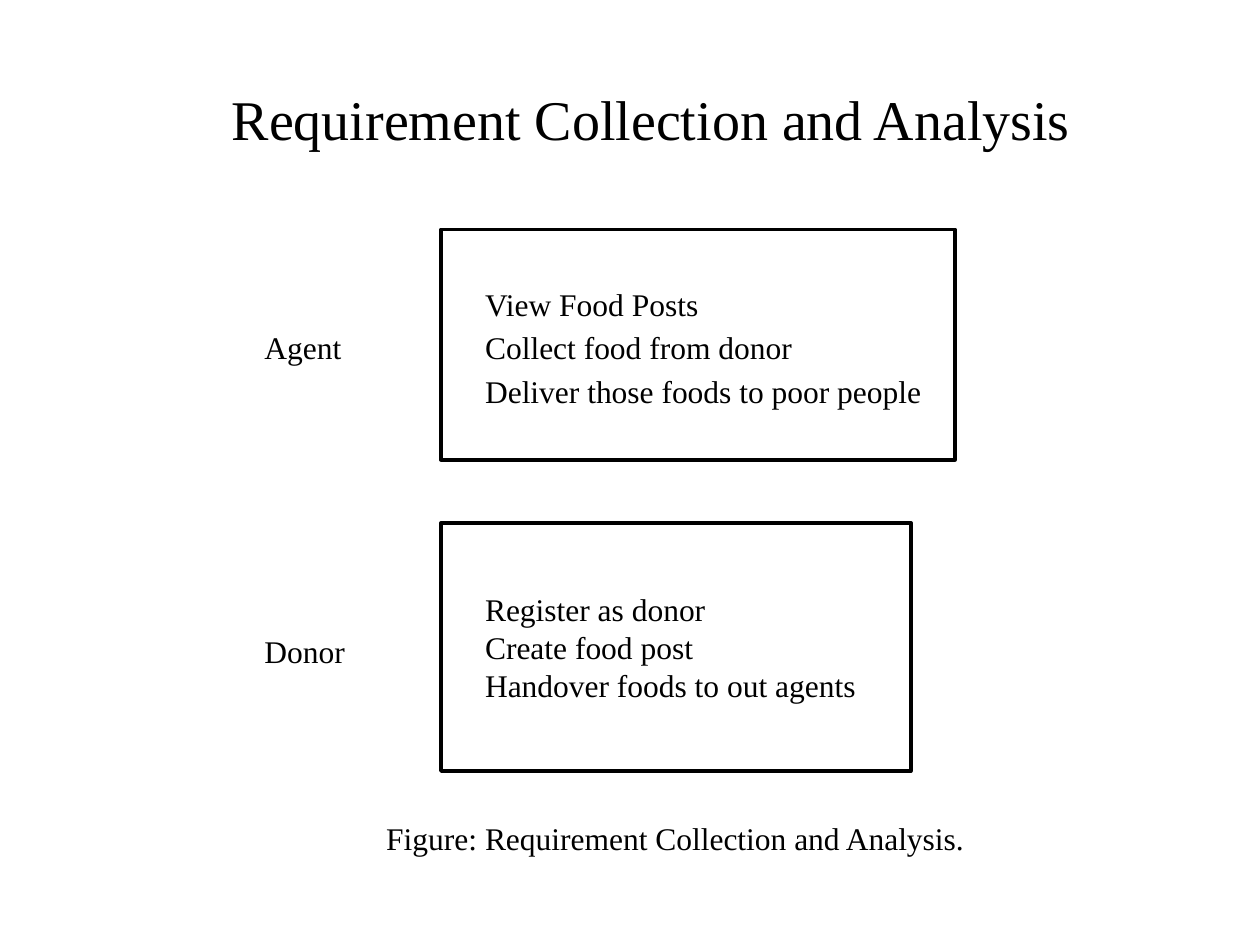
from pptx import Presentation
from pptx.dml.color import RGBColor
from pptx.enum.shapes import MSO_SHAPE as Shape
from pptx.enum.text import MSO_ANCHOR as Anchor, PP_ALIGN as Align
from pptx.util import Inches, Pt

BLACK = RGBColor(0x00, 0x00, 0x00)
WHITE = RGBColor(0xFF, 0xFF, 0xFF)
FONT = "Times New Roman"

ROLES = [
    ("Agent", 2.33, 1.82, 4.08, 1.83, 1.15,
     ["View Food Posts", "Collect food from donor",
      "Deliver those foods to poor people"]),
    ("Donor", 4.74, 4.15, 3.73, 1.97, 1.0,
     ["Register as donor", "Create food post", "Handover foods to out agents"]),
]


def write_lines(frame, lines, size=18, align=Align.LEFT, spacing=1.0, after=0):
    frame.word_wrap = True
    for index, line in enumerate(lines):
        para = frame.add_paragraph() if index else frame.paragraphs[0]
        para.text = line
        para.alignment = align
        para.line_spacing = spacing
        para.space_after = Pt(after)
        para.font.name = FONT
        para.font.size = Pt(size)
        para.font.color.rgb = BLACK


def add_title(page, text):
    title = page.shapes.title
    title.left, title.top = Inches(0.67), Inches(0.5)
    title.width, title.height = Inches(9), Inches(0.87)
    title.text_frame.vertical_anchor = Anchor.MIDDLE
    write_lines(title.text_frame, [text], size=32, align=Align.CENTER)


def add_box(page, left, top, width, height, line_color, lines,
            inset=0.1, spacing=1.15, after=0):
    box = page.shapes.add_shape(Shape.RECTANGLE, Inches(left), Inches(top),
                                Inches(width), Inches(height))
    box.shadow.inherit = False
    box.fill.solid()
    box.fill.fore_color.rgb = WHITE
    box.line.color.rgb = line_color
    box.line.width = Pt(2)
    box.text_frame.margin_left = Inches(inset)
    box.text_frame.vertical_anchor = Anchor.MIDDLE
    write_lines(box.text_frame, lines, spacing=spacing, after=after)


def add_caption(page, text):
    caption = page.shapes.add_textbox(Inches(2.37), Inches(6.41),
                                      Inches(5.98), Inches(0.43))
    write_lines(caption.text_frame, [text], align=Align.CENTER,
                spacing=1.15, after=10)


def main():
    deck = Presentation()
    deck.slide_width, deck.slide_height = Inches(10), Inches(7.5)
    page = deck.slides.add_slide(deck.slide_layouts[5])
    add_title(page, "Requirement Collection and Analysis")
    for role, label_top, top, width, height, spacing, tasks in ROLES:
        add_box(page, 3.5, top, width, height, BLACK, tasks,
                inset=0.35, spacing=spacing)
        add_box(page, 2, label_top, 1.3, 0.8, WHITE, [role], after=10)
    add_caption(page, "Figure: Requirement Collection and Analysis.")
    deck.save("out.pptx")


main()
